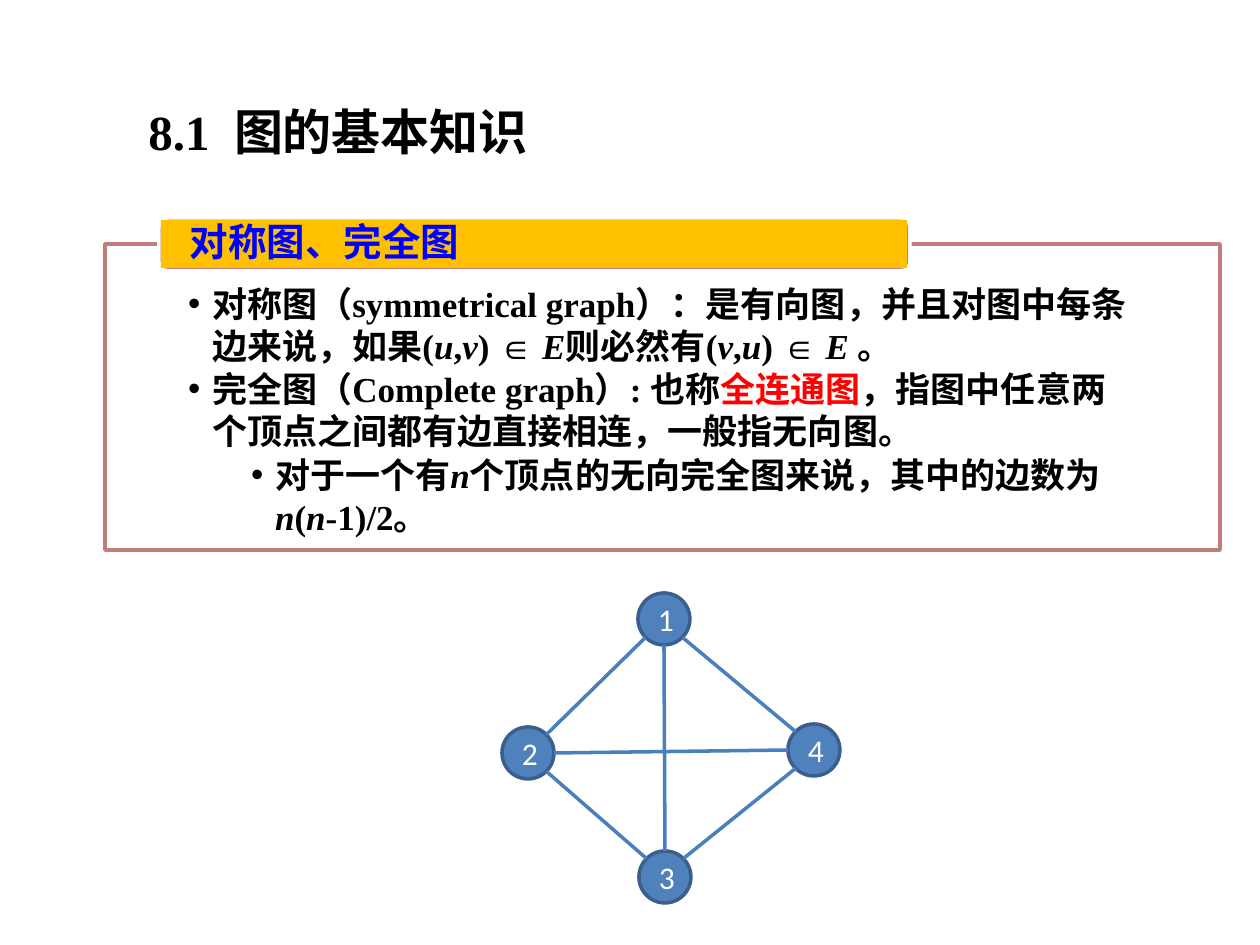
from math import hypot

from lxml.etree import SubElement as Sub
from pptx import Presentation
from pptx.dml.color import RGBColor as RGB
from pptx.enum.shapes import MSO_CONNECTOR as Line, MSO_SHAPE as Kind
from pptx.enum.text import MSO_ANCHOR as Anchor, PP_ALIGN as Align
from pptx.oxml.ns import qn
from pptx.util import Emu, Pt

SCALE = 914400 / 126
SERIF, SANS, BODY = "Times New Roman", "Noto Sans CJK SC", "Calibri"
INK = {
    "white": "FFFFFF", "black": "000000", "red": "FF0000", "blue": "0000FF",
    "rose": "C27C7A", "gold": "FFC000",
    "node": "4F81BD", "rim": "3A5F8C", "edge": "4B7EBC",
}

# Text between asterisks is stressed: italic, or red where the flag is set
NOTES = [
    (24, False, "对称图（symmetrical graph）：是有向图，并且对图中每条边来说，"
                "如果(*u*,*v*) ∈ *E*则必然有(*v*,*u*) ∈ *E *。"),
    (24, True, "完全图（Complete graph）: 也称*全连通图*，"
               "指图中任意两个顶点之间都有边直接相连，一般指无向图。"),
    (87, False, "对于一个有*n*个顶点的无向完全图来说，其中的边数为*n*(*n*-1)/2。"),
]

# Node centres, then edges with the direction in which they leave
RADIUS = 26
NODES = {"1": (664, 619), "2": (528, 753), "4": (814, 750), "3": (665, 877)}
EDGES = [
    ("1", "4", 1, 1), ("1", "2", -1, 1), ("1", "3", 0, 1),
    ("4", "2", -1, 0), ("3", "2", -1, -1), ("4", "3", -1, 1),
]


def px(n):
    return Emu(round(n * SCALE))


def ink(name):
    return RGB.from_string(INK[name])


def style(font, size, face, color, bold=False):
    font.size, font.bold = Pt(size), bold
    font.color.rgb = ink(color)
    font.name = face


def inset(frame, side, top, bottom):
    frame.margin_left = frame.margin_right = px(side)
    frame.margin_top, frame.margin_bottom = px(top), px(bottom)


def add_box(slide, kind, rect, fill, line=None):
    box = slide.shapes.add_shape(kind, *map(px, rect))
    box.shadow.inherit = False
    box.fill.solid()
    box.fill.fore_color.rgb = ink(fill)
    if line:
        box.line.color.rgb = ink(line)
        box.line.width = Pt(2)
    else:
        box.line.fill.background()
    return box


def add_text(slide, rect):
    frame = slide.shapes.add_textbox(*map(px, rect)).text_frame
    frame.word_wrap = True
    return frame


def add_title(slide):
    para = add_text(slide, (136, 95, 1029, 123)).paragraphs[0]
    for text, face in (("8.1  ", SERIF), ("图的基本知识", SANS)):
        run = para.add_run()
        run.text = text
        style(run.font, 28, face, "black", True)


def add_note(para, left, red, text):
    props = para._p.get_or_add_pPr()
    props.set("marL", str(px(left)))
    props.set("indent", str(px(-24)))
    para.space_after = Pt(1)
    Sub(props, qn("a:buFont"), typeface="Arial")
    Sub(props, qn("a:buChar"), char="•")
    style(para.font, 20, SERIF, "black", True)
    for i, part in enumerate(text.split("*")):
        if not part:
            continue
        run = para.add_run()
        run.text = part
        if i % 2 and red:
            run.font.color.rgb = ink("red")
        elif i % 2:
            run.font.italic = True


def add_panel(slide):
    rect = (105, 244, 1115, 306)
    back = add_box(slide, Kind.RECTANGLE, rect, "white", "rose")
    tone = back._element.spPr.find(qn("a:solidFill"))[0]
    Sub(tone, qn("a:alpha"), val="90000")
    frame = add_text(slide, rect)
    inset(frame, 83, 38, 18)
    for i, note in enumerate(NOTES):
        add_note(frame.add_paragraph() if i else frame.paragraphs[0], *note)


def add_tag(slide):
    add_box(slide, Kind.ROUNDED_RECTANGLE, (159, 218, 751, 53), "rose", "white")
    frame = add_box(slide, Kind.RECTANGLE, (161, 220, 746, 48), "gold").text_frame
    inset(frame, 29, 0, 0)
    frame.vertical_anchor = Anchor.MIDDLE
    para = frame.paragraphs[0]
    para.text = "对称图、完全图"
    para.alignment = Align.LEFT
    para.line_spacing = 0.9
    style(para.font, 22, SANS, "blue", True)


def add_node(slide, name, x, y):
    rect = (x - RADIUS, y - RADIUS, 2 * RADIUS, 2 * RADIUS)
    frame = add_box(slide, Kind.OVAL, rect, "node", "rim").text_frame
    frame.vertical_anchor = Anchor.MIDDLE
    para = frame.paragraphs[0]
    para.text = name
    para.alignment = Align.CENTER
    style(para.font, 18, BODY, "white")


def add_edge(slide, start, end, dx, dy):
    # Run from rim to rim, leaving and arriving on opposite sides
    step = RADIUS / hypot(dx, dy)
    (ax, ay), (bx, by) = NODES[start], NODES[end]
    ends = (ax + dx * step, ay + dy * step, bx - dx * step, by - dy * step)
    edge = slide.shapes.add_connector(Line.STRAIGHT, *map(px, ends))
    edge.line.color.rgb = ink("edge")
    edge.line.width = Pt(2)
    Sub(edge._element.spPr, qn("a:effectLst"))


def main():
    deck = Presentation()
    deck.slide_width, deck.slide_height = px(1260), px(945)
    slide = deck.slides.add_slide(deck.slide_layouts[6])

    # Heading and definitions
    add_title(slide)
    add_panel(slide)
    add_tag(slide)

    # Complete graph on four vertices
    for name, (x, y) in NODES.items():
        add_node(slide, name, x, y)
    for edge in EDGES:
        add_edge(slide, *edge)

    deck.save("out.pptx")


if __name__ == "__main__":
    main()
